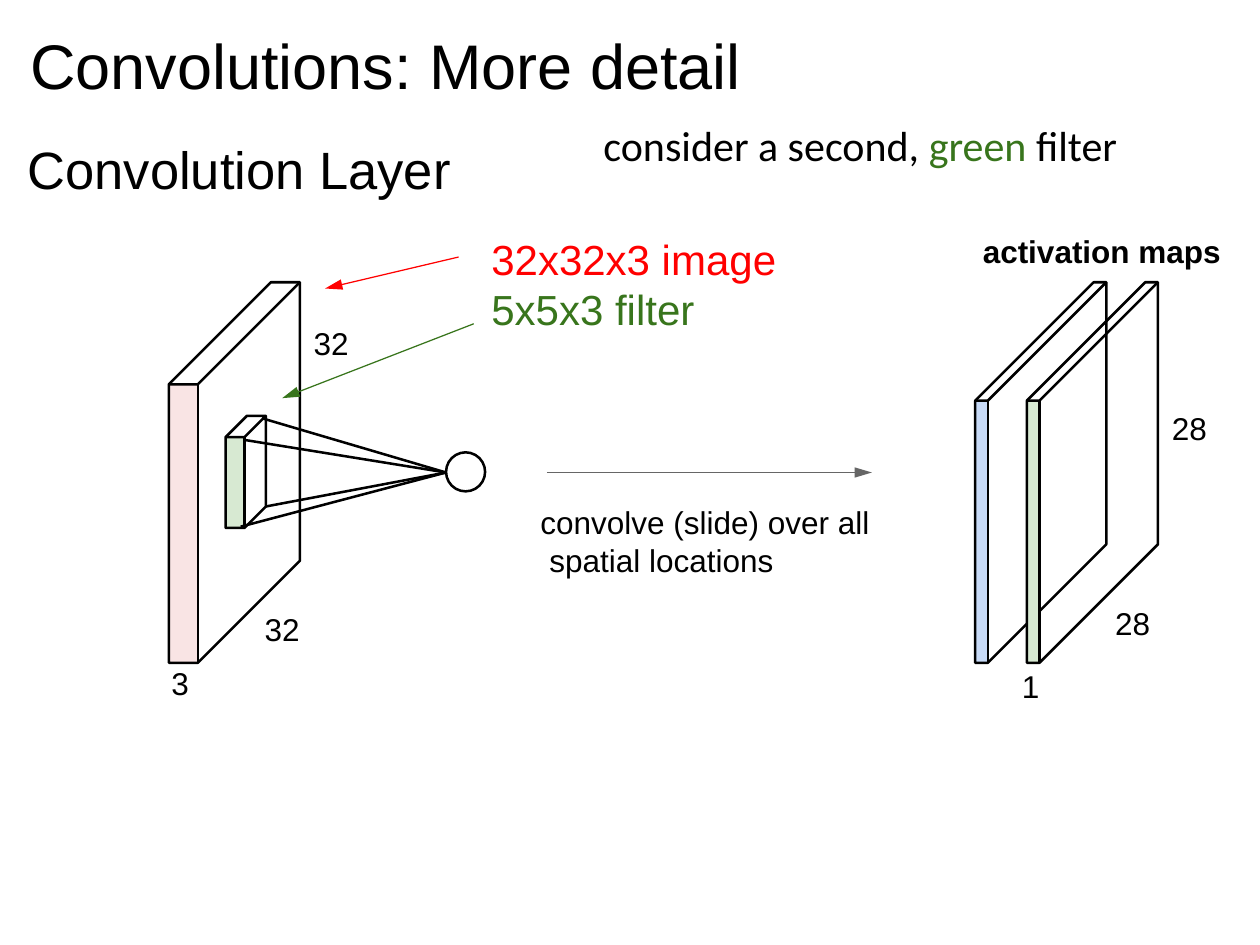
"""Build the slide on convolution layers with a second, green filter."""
from lxml import etree
from pptx import Presentation
from pptx.dml.color import RGBColor
from pptx.enum import shapes, text
from pptx.oxml import ns
from pptx.util import Pt

PX = 9144
INK = {"black": "000000", "red": "FF0000", "green": "38751C", "gray": "666666",
       "pink": "F4CCCC", "mint": "D7E9D2", "blue": "C7DAF7"}
FRAME = {"word_wrap": True, "margin_left": PX, "margin_top": 2 * PX,
         "margin_right": 0, "margin_bottom": 0,
         "vertical_anchor": text.MSO_ANCHOR.TOP}

deck = Presentation()
deck.slide_width, deck.slide_height = 1000 * PX, 750 * PX
slide = deck.slides.add_slide(deck.slide_layouts[6])
draw = slide.shapes


def stroke(item, ink="black", width=1.44):
    item.line.color.rgb = RGBColor.from_string(INK[ink])
    item.line.width = Pt(width)


def link(start, end, ink="black", width=1.44):
    ends = [n * PX for n in start + end]
    line = draw.add_connector(shapes.MSO_CONNECTOR.STRAIGHT, *ends)
    stroke(line, ink, width)
    etree.SubElement(line._element.spPr, ns.qn("a:effectLst"))
    return line


# left, top, width, depth, height, front colour, opacity
slabs = [
    (774, 318, 10, 94, 208, "blue", 100),
    (179, 347, 15, 17, 72, "mint", 100),
    (134, 305, 23, 81, 221, "pink", 52),
    (815, 318, 10, 94, 208, "mint", 100),
]
for x, y, w, d, h, ink, alpha in slabs:
    front = draw.add_shape(shapes.MSO_SHAPE.RECTANGLE, *[n * PX for n in (x, y, w, h)])
    front.shadow.inherit = False
    front.fill.solid()
    front.fill.fore_color.rgb = RGBColor.from_string(INK[ink])
    front.line.fill.background()
    if alpha < 100:
        tint = front._element.spPr.find(".//" + ns.qn("a:srgbClr"))
        etree.SubElement(tint, ns.qn("a:alpha"), val=str(alpha * 1000))

    r, b = x + w, y + h
    pen = draw.build_freeform(x, y, scale=PX)
    pen.add_line_segments([(x + d, y - d), (r + d, y - d), (r + d, b - d), (r, b), (x, b)])
    pen.move_to(x, y)
    pen.add_line_segments([(r, y), (r + d, y - d)], close=False)
    pen.move_to(r, y)
    pen.add_line_segments([(r, b)], close=False)
    edge = pen.convert_to_shape()
    edge.shadow.inherit = False
    edge.fill.background()
    stroke(edge)

cell = draw.add_shape(shapes.MSO_SHAPE.OVAL, *[n * PX for n in (354, 359, 31, 31)])
cell.shadow.inherit = False
cell.fill.background()
stroke(cell)
for spot in [(191, 418), (193, 349), (208, 332), (211, 402)]:
    link(spot, (354, 375))

arrows = [
    ((364, 204), (258, 229), "red"),
    ((376, 257), (224, 316), "green"),
    ((434, 375), (692, 375), "gray"),
]
for start, end, ink in arrows:
    arrow = link(start, end, ink, 0.72)
    etree.SubElement(arrow.line._get_or_add_ln(), ns.qn("a:tailEnd"),
                     type="triangle", w="med", len="lg")

# left, top, width, height, size, face, bold, paragraphs of runs
notes = [
    (23, 19, 580, 63, 36, "Arial", False, [[("Convolutions: More detail", "black")]]),
    (21, 107, 350, 53, 30, "Arial", False, [[("Convolution Layer", "black")]]),
    (478, 93, 420, 43, 24, "Calibri", False,
     [[("consider a second, ", "black"), ("green ", "green"), ("filter", "black")]]),
    (389, 183, 240, 83, 24, "Arial", False,
     [[("32x32x3 image", "red")], [("5x5x3 filter", "green")]]),
    (779, 182, 200, 33, 18, "Arial", True, [[("activation maps", "black")]]),
    (428, 397, 270, 63, 18, "Arial", False,
     [[("convolve (slide) over all spatial locations", "black")]]),
]
marks = [("32", 209, 482), ("32", 248, 255), ("3", 135, 525),
         ("1", 810, 527), ("28", 884, 477), ("28", 929, 323)]
notes += [(x, y, 34, 33, 18, "Arial", False, [[(word, "black")]]) for word, x, y in marks]

for x, y, w, h, size, face, bold, paras in notes:
    frame = draw.add_textbox(*[n * PX for n in (x, y, w, h)]).text_frame
    for key, val in FRAME.items():
        setattr(frame, key, val)
    for i, runs in enumerate(paras):
        para = frame.add_paragraph() if i else frame.paragraphs[0]
        if "slide" in runs[0][0]:
            props = para._p.get_or_add_pPr()
            props.set("marL", str(7 * PX))
            props.set("indent", str(-7 * PX))
        for words, ink in runs:
            run = para.add_run()
            run.text = words
            for key, val in {"size": Pt(size), "name": face, "bold": bold}.items():
                setattr(run.font, key, val)
            run.font.color.rgb = RGBColor.from_string(INK[ink])

deck.save("out.pptx")
